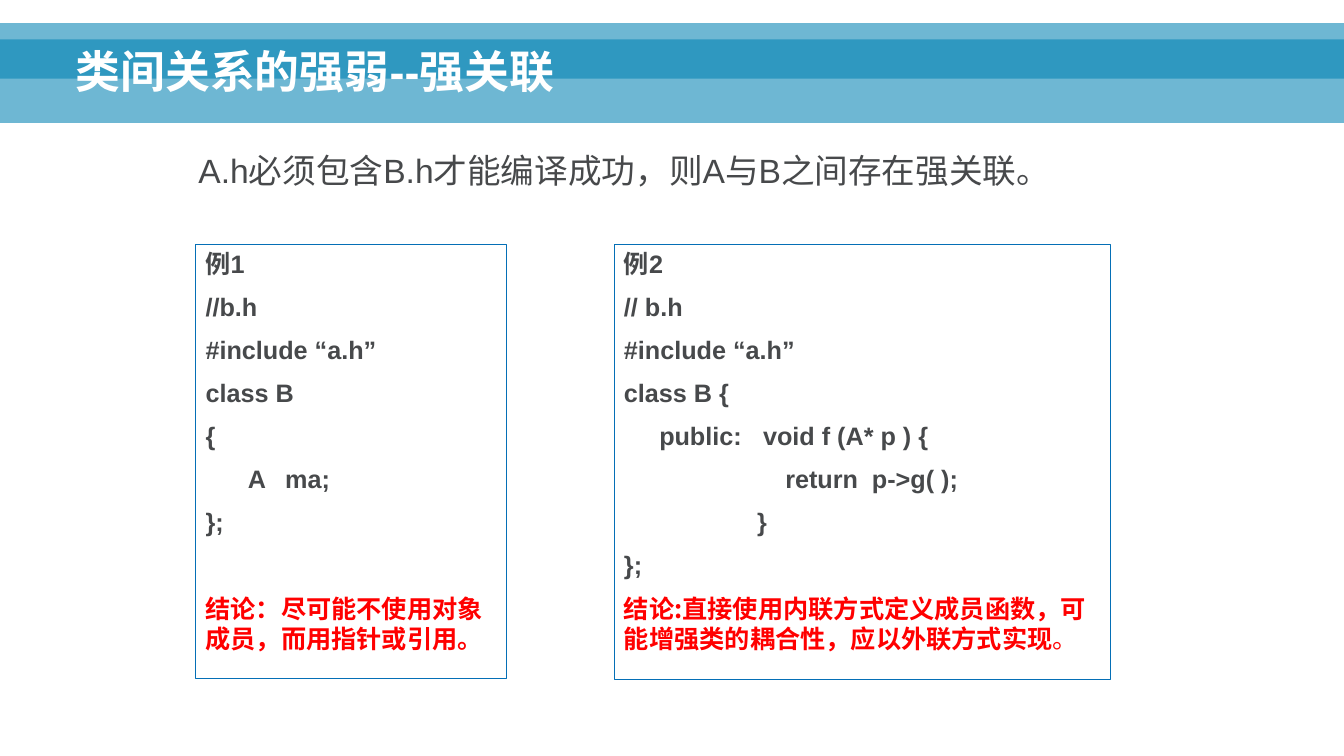
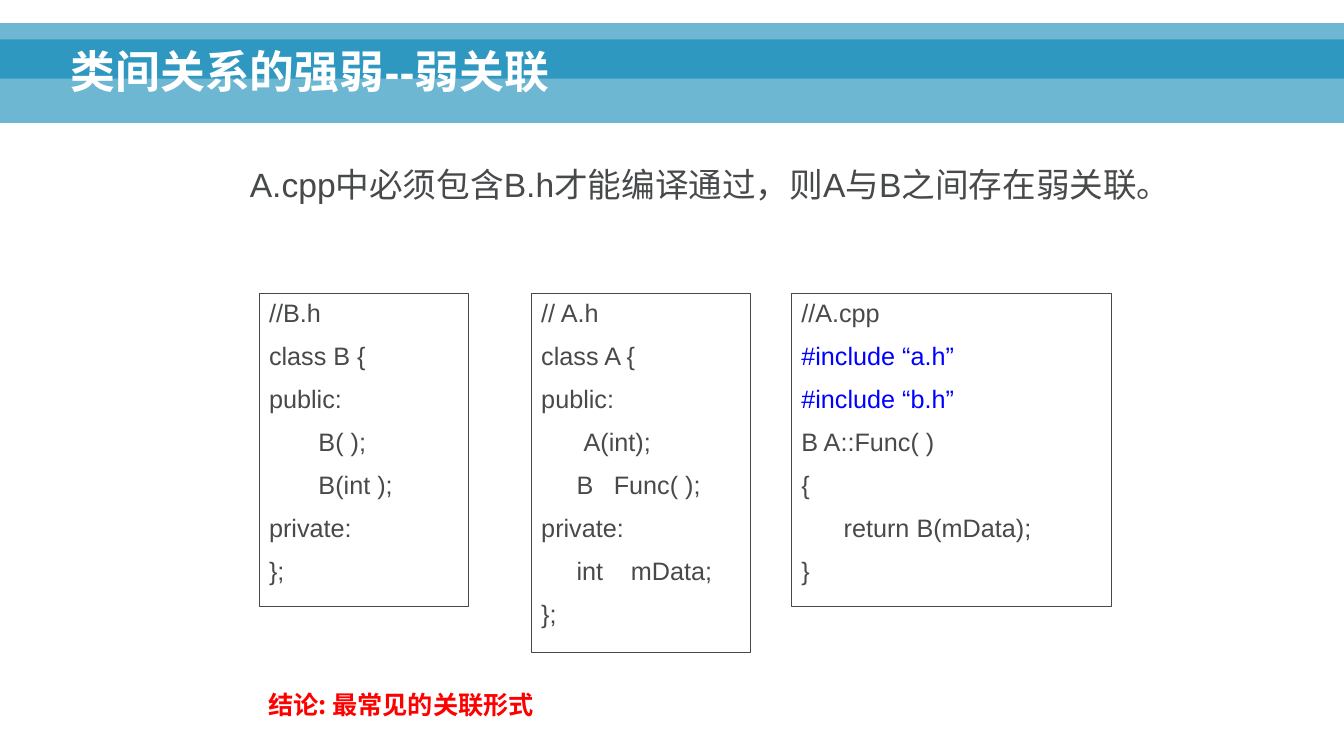
from dataclasses import dataclass

from lxml import etree
from pptx import Presentation
from pptx.dml.color import RGBColor
from pptx.enum.shapes import MSO_SHAPE
from pptx.enum.text import MSO_ANCHOR, PP_ALIGN
from pptx.oxml.ns import qn
from pptx.util import Emu, Pt

RECTANGLE = MSO_SHAPE.RECTANGLE
TOP, BOTTOM = MSO_ANCHOR.TOP, MSO_ANCHOR.BOTTOM
LEFT, JUSTIFY = PP_ALIGN.LEFT, PP_ALIGN.JUSTIFY

EMU_PER_PX = 9144
SLIDE_WIDTH, SLIDE_HEIGHT = 1333, 750
TITLE_ONLY = 5
LATIN_FONT = "Arial"
CHINESE_FONT = "Noto Sans CJK SC"
CODE_LEADING, CHINESE_LEADING = 20.7, 21.4
CODE_GAP = 10
BAND_ALPHA = 57000

COLORS = {
    "band": "0082B3",
    "white": "FFFFFF",
    "text": "47494B",
    "frame": "046FB6",
    "conclusion": "FF0000",
    "include": "0000FF",
}


@dataclass(frozen=True)
class Area:
    left: int
    top: int
    width: int
    height: int


@dataclass(frozen=True)
class Line:
    cells: tuple[str, ...]
    stops: tuple[int, ...] = ()
    color: str = "text"
    gap: float = CODE_GAP
    leading: float = CODE_LEADING
    font: str = LATIN_FONT
    regular_tail: str = ""


@dataclass(frozen=True)
class CodeBox:
    area: Area
    lines: list[Line]
    border: str = "text"
    bold: bool = False


@dataclass(frozen=True)
class Page:
    title: str
    title_left: int
    intro: str
    intro_area: Area
    boxes: list[CodeBox]


def px(value: int) -> Emu:
    return Emu(value * EMU_PER_PX)


def frame_of(area: Area) -> tuple[Emu, Emu, Emu, Emu]:
    return px(area.left), px(area.top), px(area.width), px(area.height)


def rgb(name: str) -> RGBColor:
    return RGBColor.from_string(COLORS[name])


def plain(*texts: str, color: str = "text") -> list[Line]:
    return [Line((text,), color=color) for text in texts]


def tabbed(*columns: tuple[int, str]) -> Line:
    return Line(tuple(text for _, text in columns), tuple(stop for stop, _ in columns))


def conclusion(text: str, gap: float = CODE_GAP, regular_tail: str = "") -> Line:
    return Line((text,), color="conclusion", gap=gap, leading=CHINESE_LEADING,
                font=CHINESE_FONT, regular_tail=regular_tail)


def style_paragraph(para, size: int, color: str, leading: float, bold: bool = False,
                    align=LEFT, font: str = LATIN_FONT) -> None:
    para.alignment = align
    para.line_spacing = Pt(leading)
    para.font.name = font
    para.font.size = Pt(size)
    para.font.bold = bold
    para.font.color.rgb = rgb(color)
    defaults = para._p.pPr.find(qn("a:defRPr"))
    etree.SubElement(defaults, qn("a:ea"), typeface=CHINESE_FONT)


def write_lines(text_frame, lines: list[Line], bold: bool) -> None:
    text_frame.word_wrap = True
    text_frame.vertical_anchor = TOP
    for index, line in enumerate(lines):
        para = text_frame.add_paragraph() if index else text_frame.paragraphs[0]
        para.space_before = Pt(line.gap if index else 0)
        if line.stops:
            tabs = etree.SubElement(para._p.get_or_add_pPr(), qn("a:tabLst"))
            for stop in line.stops:
                etree.SubElement(tabs, qn("a:tab"), pos=str(px(stop)), algn="l")
        lead = "\t" if line.stops else ""
        para.add_run().text = "".join(lead + cell for cell in line.cells)
        if line.regular_tail:
            span = para.add_run()
            span.text = line.regular_tail
            span.font.bold = False
        style_paragraph(para, 18, line.color, line.leading, bold, font=line.font)


def add_rectangle(slide, area: Area, fill: str):
    box = slide.shapes.add_shape(RECTANGLE, *frame_of(area))
    box.shadow.inherit = False
    box.fill.solid()
    box.fill.fore_color.rgb = rgb(fill)
    return box


def add_layout_bands(layout, slide) -> None:
    for position, (top, height) in enumerate(((39, 83), (23, 55)), start=2):
        band = add_rectangle(slide, Area(0, top, SLIDE_WIDTH, height), "band")
        band.line.fill.background()
        color = band.fill._xPr.find(qn("a:solidFill")).find(qn("a:srgbClr"))
        etree.SubElement(color, qn("a:alpha"), val=str(BAND_ALPHA))
        layout.shapes._spTree.insert(position, band._element)


def add_title(slide, text: str, left: int) -> None:
    title = slide.shapes.title
    title.left, title.top, title.width, title.height = frame_of(Area(left, 15, 1198, 87))
    title.text_frame.text = text
    title.text_frame.vertical_anchor = BOTTOM
    style_paragraph(title.text_frame.paragraphs[0], 32, "white", 33, bold=True)


def add_intro(slide, text: str, area: Area) -> None:
    box = slide.shapes.add_textbox(*frame_of(area))
    box.text_frame.word_wrap = True
    para = box.text_frame.paragraphs[0]
    para.text = text
    style_paragraph(para, 24, "text", 28.6, align=JUSTIFY)
    para._p.pPr.set("marL", str(px(40)))
    para._p.pPr.set("indent", str(px(-12)))


def add_code_box(slide, code: CodeBox) -> None:
    box = add_rectangle(slide, code.area, "white")
    box.line.color.rgb = rgb(code.border)
    box.line.width = Pt(0.75)
    write_lines(box.text_frame, code.lines, code.bold)


def add_page(deck, page: Page):
    slide = deck.slides.add_slide(deck.slide_layouts[TITLE_ONLY])
    add_title(slide, page.title, page.title_left)
    add_intro(slide, page.intro, page.intro_area)
    for code in page.boxes:
        add_code_box(slide, code)
    return slide


STRONG = Page(
    "类间关系的强弱--强关联", 65,
    "A.h必须包含B.h才能编译成功，则A与B之间存在强关联。", Area(159, 144, 900, 95),
    [
        CodeBox(Area(194, 243, 308, 430), [
            *plain("例1", "//b.h", "#include “a.h”", "class B", "{"),
            tabbed((42, "A"), (79, "ma;")),
            *plain("};"),
            conclusion("结论：尽可能不使用对象成员，而用指针或引用。",
                       gap=2 * CODE_GAP + CODE_LEADING),
        ], "frame", True),
        CodeBox(Area(609, 243, 492, 431), [
            *plain("例2", "// b.h", "#include “a.h”", "class B {"),
            tabbed((35, "public:"), (138, "void f (A* p ) {")),
            tabbed((160, "return"), (246, "p->g( );")),
            tabbed((132, "}")),
            *plain("};"),
            conclusion("结论:直接使用内联方式定义成员函数，可能增强类的耦合性，应以外联方式实现",
                       regular_tail="。"),
        ], "frame", True),
    ],
)

WEAK = Page(
    "类间关系的强弱--弱关联", 60,
    "A.cpp中必须包含B.h才能编译通过，则A与B之间存在弱关联。", Area(210, 158, 976, 95),
    [
        CodeBox(Area(257, 291, 208, 311), [
            *plain("//B.h", "class B {", "public:"),
            tabbed((49, "B( );")),
            tabbed((49, "B(int );")),
            *plain("private:", "};"),
        ]),
        CodeBox(Area(527, 291, 217, 356), [
            *plain("// A.h", "class A {", "public:"),
            tabbed((42, "A(int);")),
            tabbed((35, "B"), (72, "Func( );")),
            *plain("private:"),
            tabbed((35, "int"), (89, "mData;")),
            *plain("};"),
        ]),
        CodeBox(Area(785, 291, 317, 311), [
            *plain("//A.cpp"),
            *plain("#include “a.h”", "#include “b.h”", color="include"),
            *plain("B A::Func( )", "{"),
            tabbed((42, "return B(mData);")),
            *plain("}"),
        ]),
    ],
)


def main() -> None:
    deck = Presentation()
    deck.slide_width, deck.slide_height = px(SLIDE_WIDTH), px(SLIDE_HEIGHT)
    strong_slide = add_page(deck, STRONG)
    add_layout_bands(deck.slide_layouts[TITLE_ONLY], strong_slide)
    weak_slide = add_page(deck, WEAK)
    summary = weak_slide.shapes.add_textbox(*frame_of(Area(256, 679, 858, 40)))
    write_lines(summary.text_frame, [conclusion("结论: 最常见的关联形式")], bold=True)
    deck.save("out.pptx")


if __name__ == "__main__":
    main()
